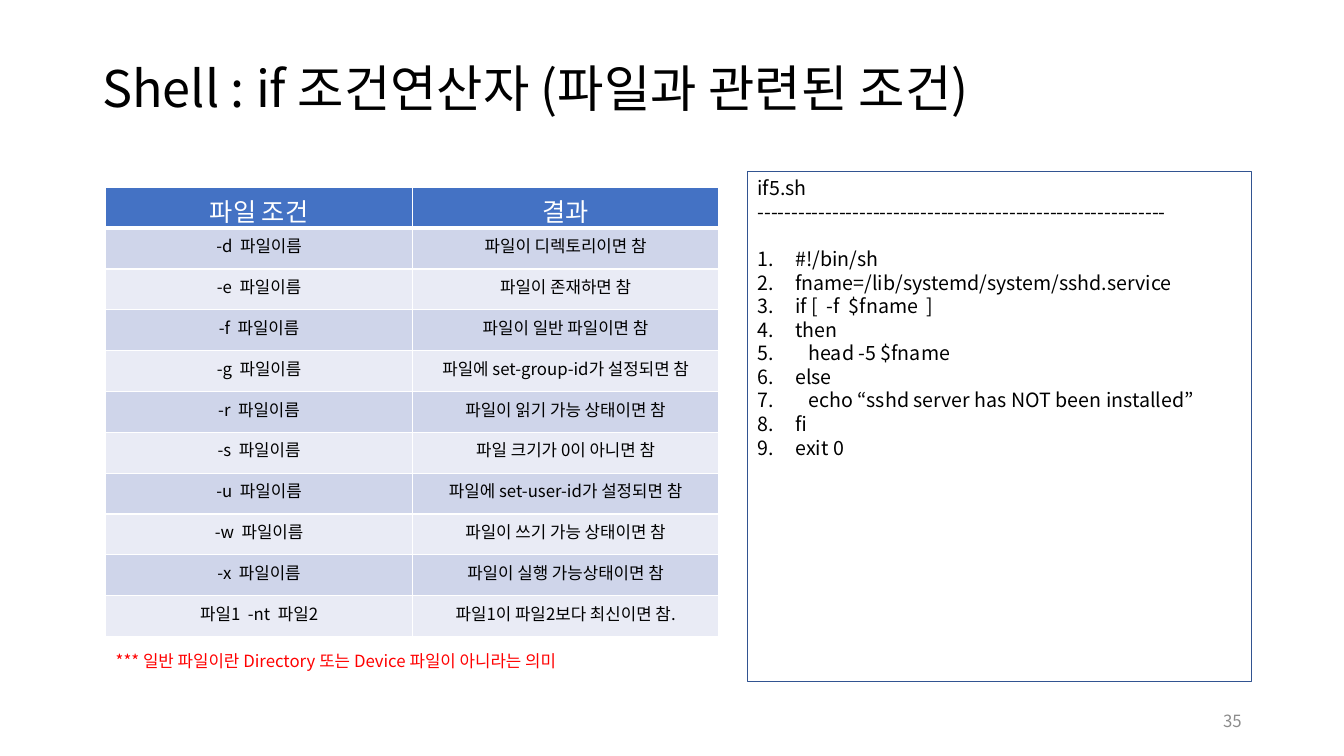
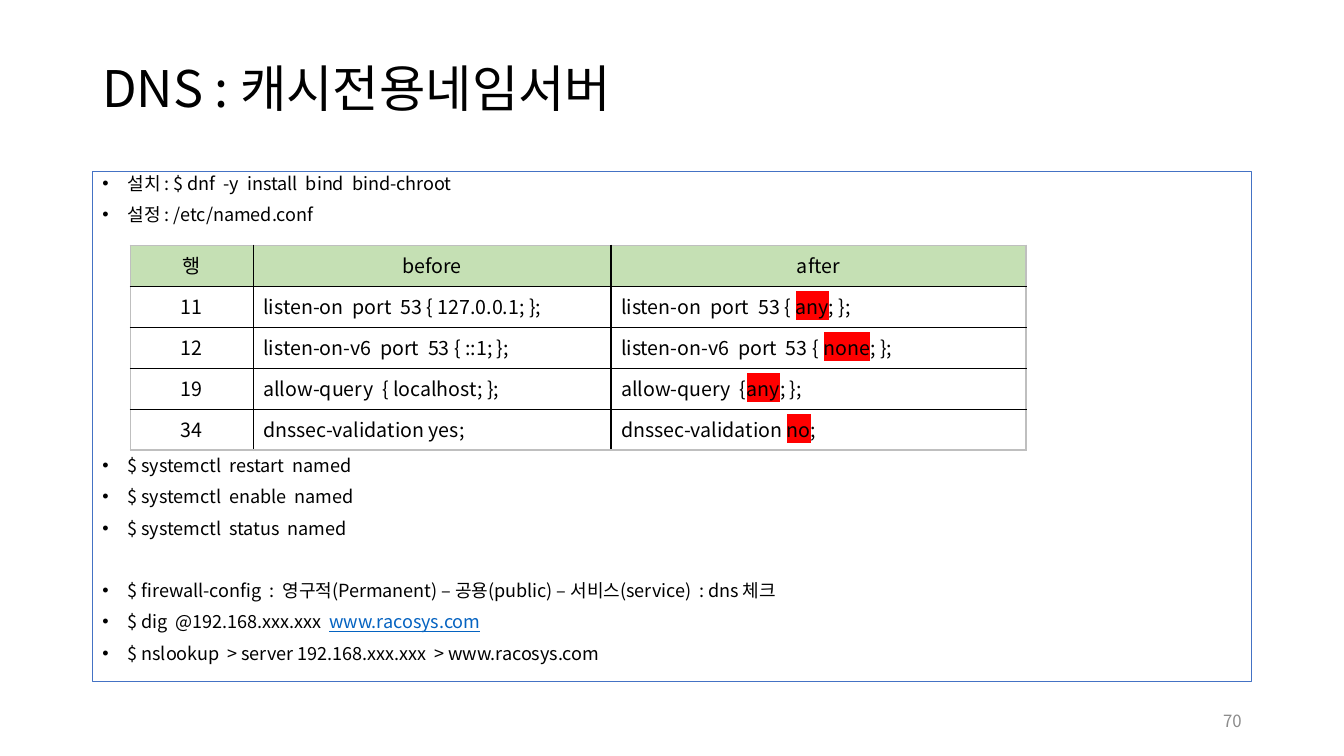
import pptx
import pptx.dml.color
import pptx.enum.shapes
import pptx.enum.text
import pptx.oxml.ns
import pptx.util
import lxml.etree

COLORS = {
    "text": "000000",
    "white": "FFFFFF",
    "muted": "8C8C8C",
    "accent": "4472C4",
    "code_outline": "325491",
    "band_dark": "CFD5EA",
    "band_light": "E9EBF5",
    "header_green": "C5E0B4",
    "outer_grey": "BFBFBF",
    "alert": "FF0000",
    "link": "0563C1",
}
ALIGN = pptx.enum.text.PP_ALIGN
ANCHOR = pptx.enum.text.MSO_ANCHOR


def add_xml(parent, tag, **attributes):
    return lxml.etree.SubElement(parent, pptx.oxml.ns.qn(tag), attributes)


def rgb(color):
    return pptx.dml.color.RGBColor.from_string(COLORS[color])


class Deck:
    """Shared style and current slide; lengths are cells of a 160 by 90 grid."""

    FONT = "Noto Sans CJK KR"
    COLUMNS, ROWS = 160, 90
    LEFT, WIDTH = 11, 138
    BODY_TOP, BODY_HEIGHT = 20.4, 60.7

    def __init__(self):
        self.presentation = pptx.Presentation()
        self.presentation.slide_width = pptx.util.Inches(13.33)
        self.presentation.slide_height = pptx.util.Inches(7.5)
        self.slide = None

    def x(self, columns):
        return round(self.presentation.slide_width * columns / self.COLUMNS)

    def y(self, rows):
        return round(self.presentation.slide_height * rows / self.ROWS)

    def place(self, left, top, width, height):
        return self.x(left), self.y(top), self.x(width), self.y(height)

    def new_slide(self, title, number):
        self.slide = self.presentation.slides.add_slide(self.presentation.slide_layouts[6])
        self.text_box(title, (self.LEFT, 4.8, self.WIDTH, 12.1), 36, line_spacing=0.9)
        self.text_box(number, (113, 83.4, 36, 4.8), 12, "muted", ALIGN.RIGHT)

    def add_run(self, paragraph, text, size, color="text", highlight=None, underline=None):
        run = paragraph.add_run()
        run.text = text
        run.font.size = pptx.util.Pt(size)
        run.font.underline = underline
        run.font.color.rgb = rgb(color)
        properties = run.font._element
        if highlight:
            add_xml(add_xml(properties, "a:highlight"), "a:srgbClr", val=COLORS[highlight])
        run.font.name = self.FONT
        add_xml(properties, "a:ea", typeface=self.FONT)

    def fill_paragraph(self, paragraph, content, size, color="text", align=ALIGN.LEFT):
        """Content is a string, or a list of strings and (text, run style) pairs."""
        paragraph.alignment = align
        for part in [content] if isinstance(content, str) else content:
            text, style = (part, {}) if isinstance(part, str) else part
            self.add_run(paragraph, text, size, **{"color": color, **style})

    def text_box(self, text, area, size, color="text", align=ALIGN.LEFT,
                 line_spacing=None, anchor=ANCHOR.MIDDLE, wrap=True):
        frame = self.slide.shapes.add_textbox(*self.place(*area)).text_frame
        frame.word_wrap = wrap
        frame.vertical_anchor = anchor
        frame.paragraphs[0].line_spacing = line_spacing
        self.fill_paragraph(frame.paragraphs[0], text, size, color, align)

    def list_box(self, area, outline, outline_width, size, lines, indent,
                 line_spacing=None, gap=0):
        """Lines are (content, bullet, space before or None for the usual gap)."""
        shape = self.slide.shapes.add_shape(
            pptx.enum.shapes.MSO_SHAPE.RECTANGLE, *self.place(*area))
        shape.shadow.inherit = False
        shape.fill.background()
        shape.line.color.rgb = rgb(outline)
        shape.line.width = pptx.util.Pt(outline_width)
        frame = shape.text_frame
        frame.word_wrap = True
        frame.vertical_anchor = ANCHOR.TOP
        for index, (content, bullet, space_before) in enumerate(lines):
            paragraph = frame.add_paragraph() if index else frame.paragraphs[0]
            paragraph.line_spacing = line_spacing
            if index:
                space = gap if space_before is None else space_before
                paragraph.space_before = pptx.util.Pt(space)
            if bullet:
                self.add_bullet(paragraph, bullet, indent)
            self.fill_paragraph(paragraph, content, size)

    def add_bullet(self, paragraph, bullet, indent):
        properties = paragraph._p.get_or_add_pPr()
        properties.set("marL", str(self.x(indent)))
        properties.set("indent", str(-self.x(indent)))
        if bullet == "1.":
            add_xml(properties, "a:buFont", typeface="+mj-lt")
            add_xml(properties, "a:buAutoNum", type="arabicPeriod")
        else:
            add_xml(properties, "a:buFont", typeface="Arial")
            add_xml(properties, "a:buChar", char=bullet)

    def table(self, left, top, widths, height, rows, style):
        """Style gives (fill, size, colour), alignment and borders of a cell."""
        area = self.place(left, top, sum(widths), height)
        table = self.slide.shapes.add_table(len(rows), len(widths), *area).table
        table.first_row = table.horz_banding = False
        for column, width in zip(table.columns, widths):
            column.width = self.x(width)
        for row_index, values in enumerate(rows):
            table.rows[row_index].height = self.y(height / len(rows))
            for column_index, content in enumerate(values):
                cell = table.cell(row_index, column_index)
                fill, size, color, align, borders = style(row_index, column_index)
                self.fill_paragraph(cell.text_frame.paragraphs[0], content, size, color, align)
                self.add_borders(cell, borders)
                if fill:
                    cell.fill.solid()
                    cell.fill.fore_color.rgb = rgb(fill)
                else:
                    cell.fill.background()

    def add_borders(self, cell, borders):
        """Borders are (colour, points) for left, right, top and bottom."""
        properties = cell._tc.get_or_add_tcPr()
        for side, (color, points) in zip("LRTB", borders):
            line = add_xml(properties, f"a:ln{side}", w=str(pptx.util.Pt(points)))
            add_xml(add_xml(line, "a:solidFill"), "a:srgbClr", val=COLORS[color])


FILE_TESTS = [
    ("파일 조건", "결과"),
    ("-d  파일이름", "파일이 디렉토리이면 참"),
    ("-e  파일이름", "파일이 존재하면 참"),
    ("-f  파일이름", "파일이 일반 파일이면 참"),
    ("-g  파일이름", "파일에 set-group-id가 설정되면 참"),
    ("-r  파일이름", "파일이 읽기 가능 상태이면 참"),
    ("-s  파일이름", "파일 크기가 0이 아니면 참"),
    ("-u  파일이름", "파일에 set-user-id가 설정되면 참"),
    ("-w  파일이름", "파일이 쓰기 가능 상태이면 참"),
    ("-x  파일이름", "파일이 실행 가능상태이면 참"),
    ("파일1  -nt  파일2", "파일1이 파일2보다 최신이면 참."),
]
SCRIPT_LINES = [
    "#!/bin/sh",
    "fname=/lib/systemd/system/sshd.service",
    "if [  -f  $fname  ]",
    "then",
    "   head -5 $fname",
    "else",
    "   echo “sshd server has NOT been installed”",
    "fi",
    "exit 0",
]
MARKED = {"highlight": "alert"}
NAMED_CONF = [
    ("행", "before", "after"),
    ("11", "listen-on  port  53 { 127.0.0.1; };",
     ["listen-on  port  53 { ", ("any", MARKED), "; };"]),
    ("12", "listen-on-v6  port  53 { ::1; };",
     ["listen-on-v6  port  53 { ", ("none", MARKED), "; };"]),
    ("19", "allow-query  { localhost; };",
     ["allow-query  {", ("any", MARKED), "; };"]),
    ("34", "dnssec-validation yes;",
     ["dnssec-validation ", ("no", MARKED), ";"]),
]
# Each step has the space before it, or None for the usual gap.
DNS_STEPS = [
    ("설치 : $ dnf  -y  install  bind  bind-chroot", None),
    ("설정 : /etc/named.conf", None),
    ("$ systemctl  restart  named", 167),
    ("$ systemctl  enable  named", None),
    ("$ systemctl  status  named", None),
    ("$ firewall-config  :  영구적(Permanent) – 공용(public) – 서비스(service)  : dns 체크", 32),
    (["$ dig  @192.168.xxx.xxx  ",
      ("www.racosys.com", {"color": "link", "underline": True})], None),
    ("$ nslookup  > server 192.168.xxx.xxx  > www.racosys.com", None),
]


def file_test_style(row, column):
    thin = ("white", 1)
    if row == 0:
        return "accent", 18, "white", ALIGN.CENTER, (thin, thin, thin, ("white", 3))
    fill = "band_dark" if row % 2 else "band_light"
    top = ("white", 3) if row == 1 else thin
    return fill, 12, "text", ALIGN.CENTER, (thin, thin, top, thin)


def named_conf_style(row, column):
    last_row, last_column = len(NAMED_CONF) - 1, len(NAMED_CONF[0]) - 1
    outer = (column == 0, column == last_column, row == 0, row == last_row)
    borders = [("outer_grey" if edge else "text", 1) for edge in outer]
    align = ALIGN.CENTER if row == 0 or column == 0 else ALIGN.LEFT
    return "header_green" if row == 0 else None, 14, "text", align, borders


def build_file_test_slide(deck):
    deck.new_slide("Shell : if 조건연산자 (파일과 관련된 조건)", "35")
    lines = [("if5.sh", None, None), ("-" * 60, None, None)]
    lines += [(line, "1.", None if index else 17) for index, line in enumerate(SCRIPT_LINES)]
    deck.list_box((89, deck.BODY_TOP, 60, deck.BODY_HEIGHT), "code_outline", 0.25, 14,
                  lines, indent=4.5)
    deck.table(12.6, 22.3, [36.5, 36.5], 53.5, FILE_TESTS, file_test_style)
    deck.text_box("*** 일반 파일이란 Directory 또는 Device 파일이 아니라는 의미",
                  (12.6, 76.9, 59.4, 3.6), 12, "alert", anchor=ANCHOR.TOP, wrap=False)


def build_dns_slide(deck):
    deck.new_slide("DNS : 캐시전용네임서버", "70")
    lines = [(content, "•", space) for content, space in DNS_STEPS]
    deck.list_box((deck.LEFT, deck.BODY_TOP, deck.WIDTH, deck.BODY_HEIGHT), "accent", 0.75,
                  12.9, lines, indent=3, line_spacing=0.8, gap=10)
    deck.table(15.5, 29.2, [14.65, 42.6, 49.4], 24.4, NAMED_CONF, named_conf_style)


def main():
    deck = Deck()
    build_file_test_slide(deck)
    build_dns_slide(deck)
    deck.presentation.save("out.pptx")


if __name__ == "__main__":
    main()
